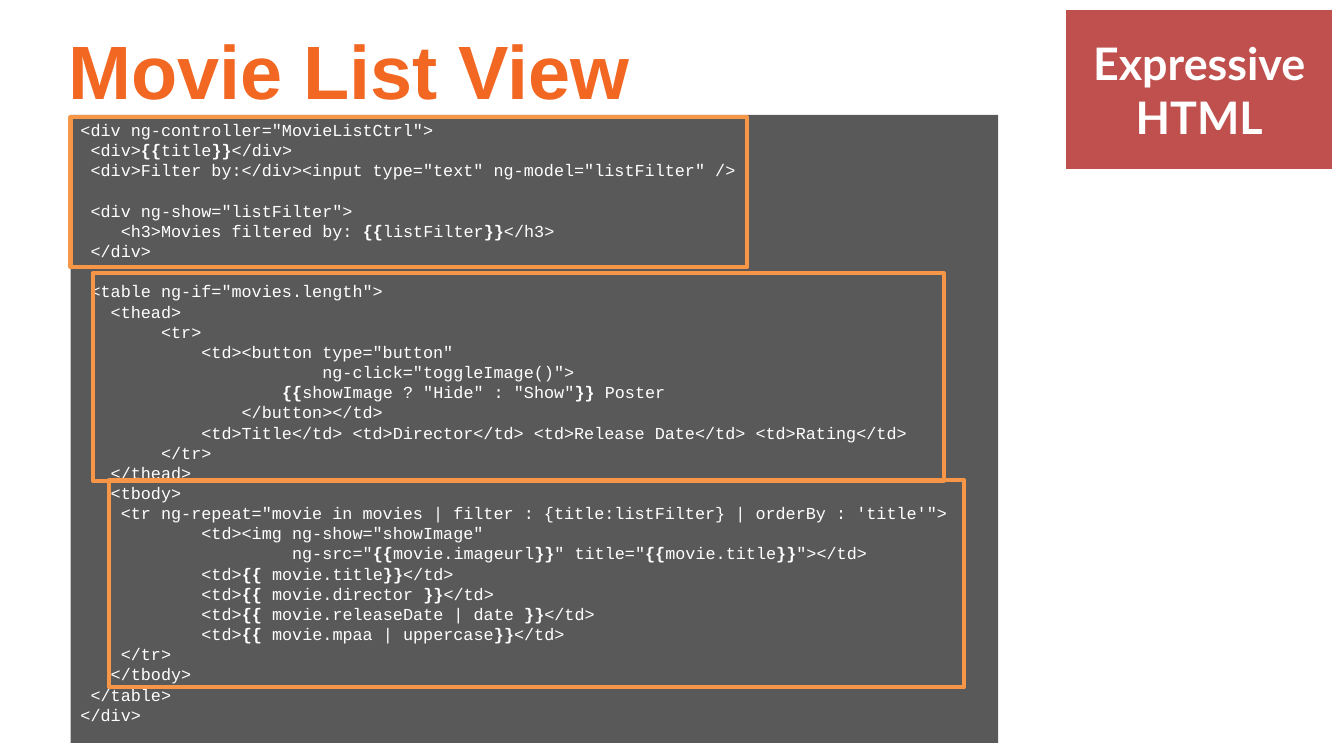
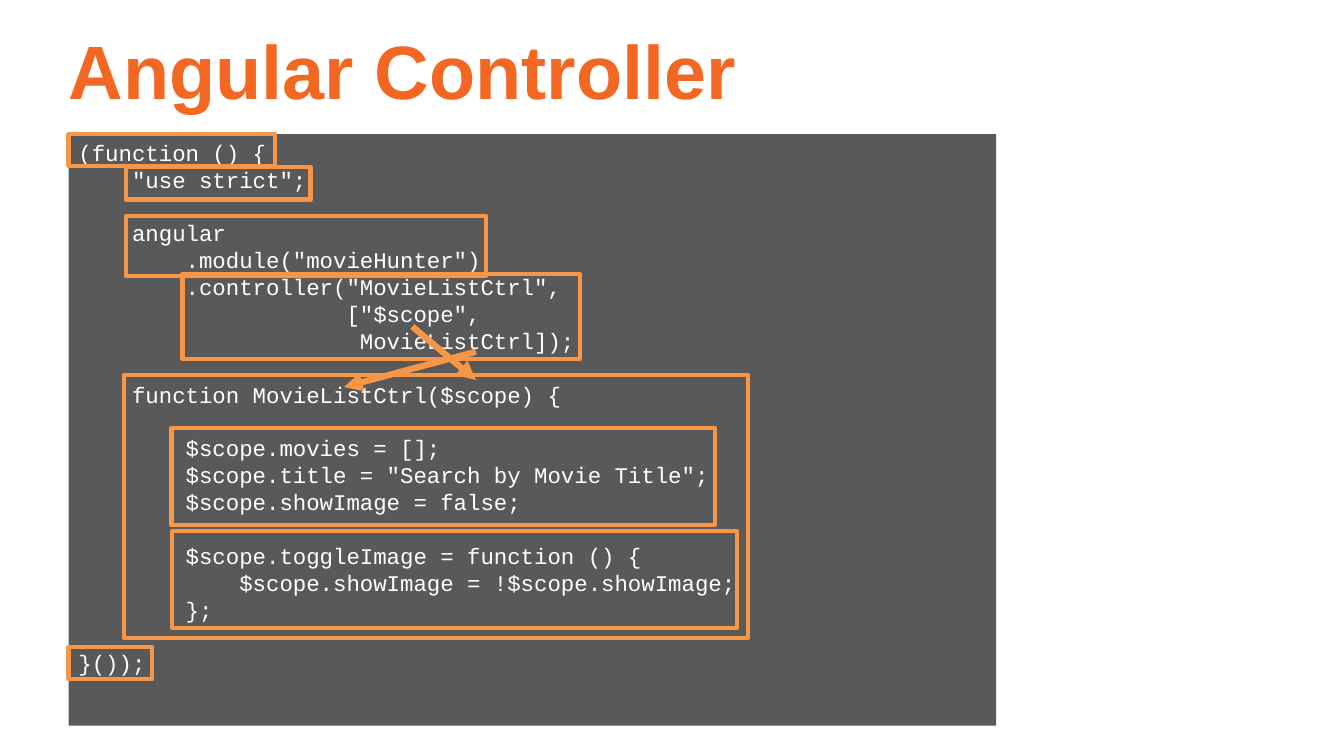
from dataclasses import dataclass

from lxml import etree
from pptx import Presentation
from pptx.dml.color import RGBColor
from pptx.enum.shapes import MSO_CONNECTOR, MSO_SHAPE
from pptx.enum.text import MSO_ANCHOR, PP_ALIGN
from pptx.oxml.ns import qn
from pptx.util import Inches, Pt

RECTANGLE = MSO_SHAPE.RECTANGLE
STRAIGHT = MSO_CONNECTOR.STRAIGHT
TOP, MIDDLE = MSO_ANCHOR.TOP, MSO_ANCHOR.MIDDLE
LEFT, CENTER = PP_ALIGN.LEFT, PP_ALIGN.CENTER

COLORS = {
    "title": "F26722",
    "panel": "595959",
    "frame": "F79646",
    "badge": "C0504D",
    "white": "FFFFFF",
}
TITLE_FONT, CODE_FONT, BADGE_FONT = "Arial", "Courier New", "Lato"
LINE_HEIGHT = 1.2  # height of a code line relative to its font size


@dataclass(frozen=True)
class Area:
    left: float
    top: float
    width: float
    height: float

    def lengths(self) -> tuple:
        return tuple(Inches(n) for n in (self.left, self.top, self.width, self.height))


@dataclass(frozen=True)
class Arrow:
    start: tuple[float, float]
    end: tuple[float, float]


@dataclass(frozen=True)
class CodePage:
    title: str
    blocks: tuple[str, ...]
    size: int
    panel: Area
    frames: tuple[Area, ...]
    arrows: tuple[Arrow, ...] = ()
    badge: str = ""


TITLE_AREA = Area(0.68, 0.2, 12.01, 1.12)
BADGE_AREA = Area(10.56, 0.09, 2.67, 1.6)

FILTER_CODE = """\
<div ng-controller="MovieListCtrl">
 <div>{{title}}</div>
 <div>Filter by:</div><input type="text" ng-model="listFilter" />

 <div ng-show="listFilter">
    <h3>Movies filtered by: {{listFilter}}</h3>
 </div>

"""

TABLE_HEAD_CODE = """\
 <table ng-if="movies.length">
   <thead>
        <tr>
            <td><button type="button"
                        ng-click="toggleImage()">
                    {{showImage ? "Hide" : "Show"}} Poster
                </button></td>
            <td>Title</td> <td>Director</td> <td>Release Date</td> <td>Rating</td>
        </tr>
   </thead>
"""

TABLE_BODY_CODE = """\
   <tbody>
    <tr ng-repeat="movie in movies | filter : {title:listFilter} | orderBy : 'title'">
            <td><img ng-show="showImage"
                     ng-src="{{movie.imageurl}}" title="{{movie.title}}"></td>
            <td>{{ movie.title}}</td>
            <td>{{ movie.director }}</td>
            <td>{{ movie.releaseDate | date }}</td>
            <td>{{ movie.mpaa | uppercase}}</td>
    </tr>
   </tbody>
 </table>
</div>
"""

CONTROLLER_CODE = """\
(function () {
    "use strict";

    angular
        .module("movieHunter")
        .controller("MovieListCtrl",
                    ["$scope",
                     MovieListCtrl]);

    function MovieListCtrl($scope) {

        $scope.movies = [];
        $scope.title = "Search by Movie Title";
        $scope.showImage = false;

        $scope.toggleImage = function () {
            $scope.showImage = !$scope.showImage;
        };

}());
"""

PAGES = (
    CodePage(
        title="Movie List View",
        blocks=(FILTER_CODE, TABLE_HEAD_CODE, TABLE_BODY_CODE),
        size=12,
        panel=Area(0.7, 1.14, 9.2, 6.23),
        frames=(
            Area(0.7, 1.16, 6.71, 1.49),  # filter
            Area(0.92, 2.71, 8.44, 2.06),  # table head
            Area(1.08, 4.76, 8.48, 2.06),  # table body
        ),
        badge="Expressive HTML",
    ),
    CodePage(
        title="Angular Controller",
        blocks=(CONTROLLER_CODE,),
        size=16,
        panel=Area(0.68, 1.33, 9.2, 5.87),
        frames=(
            Area(0.68, 1.33, 2.05, 0.32),  # function opening
            Area(0.68, 6.42, 0.83, 0.32),  # function closing
            Area(1.25, 1.66, 1.83, 0.32),  # strict mode
            Area(1.25, 2.14, 3.57, 0.6),  # module
            Area(1.81, 2.72, 3.94, 0.84),  # registration
            Area(1.23, 3.72, 6.19, 2.61),  # controller
            Area(1.7, 4.25, 5.39, 0.96),  # properties
            Area(1.71, 5.27, 5.6, 0.96),  # method
        ),
        arrows=(
            Arrow((4.09, 3.24), (4.72, 3.77)),
            Arrow((4.72, 3.49), (3.41, 3.84)),
        ),
    ),
)


def color(name: str) -> RGBColor:
    return RGBColor.from_string(COLORS[name])


def style_font(font, name: str, size: int, color_name: str, bold: bool) -> None:
    font.name = name
    font.size = Pt(size)
    font.bold = bold
    font.color.rgb = color(color_name)


def add_rectangle(page, area: Area, fill: str = "", line: str = "", width: float = 3):
    shape = page.shapes.add_shape(RECTANGLE, *area.lengths())
    shape.shadow.inherit = False
    if fill:
        shape.fill.solid()
        shape.fill.fore_color.rgb = color(fill)
    else:
        shape.fill.background()
    if line:
        shape.line.color.rgb = color(line)
        shape.line.width = Pt(width)
    else:
        shape.line.fill.background()
    return shape


def add_title(page, text: str) -> None:
    frame = page.shapes.add_textbox(*TITLE_AREA.lengths()).text_frame
    frame.word_wrap = True
    frame.vertical_anchor = MIDDLE
    frame.margin_left = 0
    frame.text = text
    para = frame.paragraphs[0]
    para.line_spacing = 0.85
    style_font(para.runs[0].font, TITLE_FONT, 54, "title", True)


def add_code(page, area: Area, blocks: tuple[str, ...], size: int) -> None:
    """Draw the code panel; double braces are bold, empty lines become space before."""
    frame = add_rectangle(page, area, fill="panel").text_frame
    frame.word_wrap = True
    frame.vertical_anchor = TOP
    lines = "".join(blocks).splitlines()
    for index, line in enumerate(lines):
        if not line:
            continue
        para = frame.add_paragraph() if index else frame.paragraphs[0]
        para.alignment = LEFT
        if index and not lines[index - 1]:
            para.space_before = Pt(size * LINE_HEIGHT)
        marked = line.replace("{{", "\n{{\n").replace("}}", "\n}}\n")
        for part in filter(None, marked.split("\n")):
            span = para.add_run()
            span.text = part
            style_font(span.font, CODE_FONT, size, "white", part in ("{{", "}}"))


def add_arrow(page, arrow: Arrow) -> None:
    points = [Inches(n) for n in (*arrow.start, *arrow.end)]
    connector = page.shapes.add_connector(STRAIGHT, *points)
    connector.line.color.rgb = color("frame")
    connector.line.width = Pt(4.5)
    properties = connector._element.spPr
    outline = properties.find(qn("a:ln"))
    etree.SubElement(outline, qn("a:tailEnd"), type="triangle")
    etree.SubElement(properties, qn("a:effectLst"))


def add_badge(page, text: str) -> None:
    frame = add_rectangle(page, BADGE_AREA, "badge", "white", 2).text_frame
    frame.word_wrap = True
    frame.vertical_anchor = MIDDLE
    frame.text = text
    para = frame.paragraphs[0]
    para.alignment = CENTER
    style_font(para.runs[0].font, BADGE_FONT, 32, "white", True)


def add_page(deck, content: CodePage) -> None:
    page = deck.slides.add_slide(deck.slide_layouts[6])
    add_title(page, content.title)
    add_code(page, content.panel, content.blocks, content.size)
    for area in content.frames:
        add_rectangle(page, area, line="frame")
    for arrow in content.arrows:
        add_arrow(page, arrow)
    if content.badge:
        add_badge(page, content.badge)


def main() -> None:
    deck = Presentation()
    deck.slide_width = Inches(13.33)
    deck.slide_height = Inches(7.5)
    for content in PAGES:
        add_page(deck, content)
    deck.save("out.pptx")


if __name__ == "__main__":
    main()
